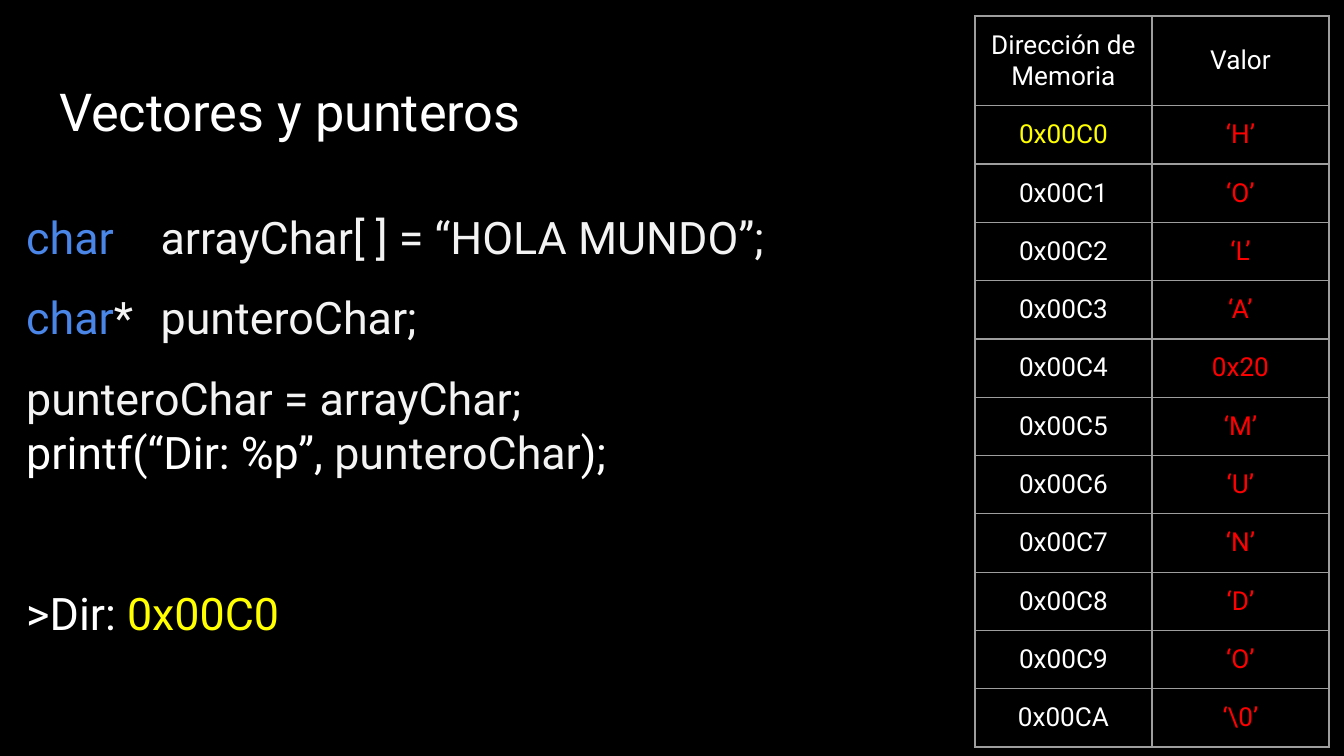
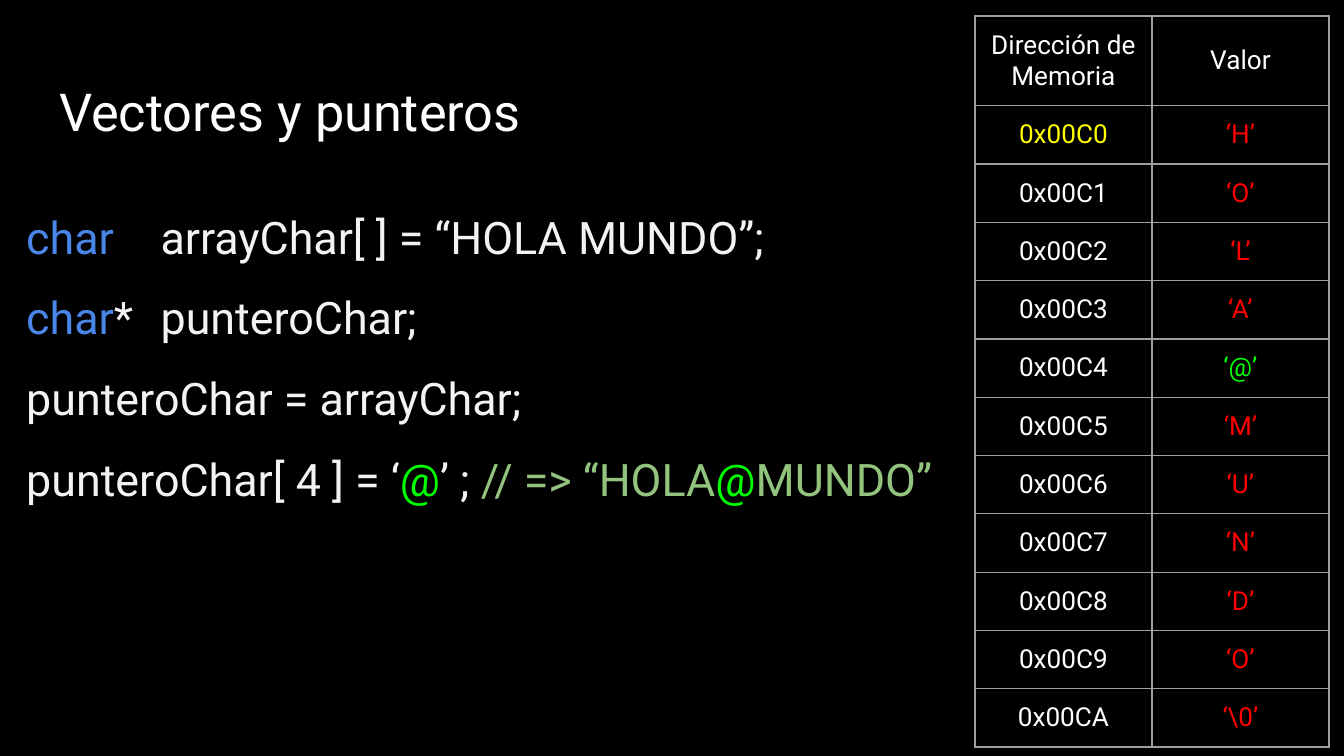
from lxml.etree import SubElement
from pptx import Presentation
from pptx.dml.color import RGBColor
from pptx.enum.text import MSO_ANCHOR, PP_ALIGN
from pptx.oxml.ns import qn
from pptx.util import Emu, Inches, Pt

BLACK = RGBColor(0x00, 0x00, 0x00)
WHITE = RGBColor(0xFF, 0xFF, 0xFF)
SOFT_WHITE = RGBColor(0xF3, 0xF3, 0xF3)
BLUE = RGBColor(0x4A, 0x86, 0xE8)
YELLOW = RGBColor(0xFF, 0xFF, 0x00)
RED = RGBColor(0xFF, 0x00, 0x00)
GREEN = RGBColor(0x00, 0xFF, 0x00)
COMMENT_GREEN = RGBColor(0x93, 0xC4, 0x7D)
BORDER_GRAY = RGBColor(0x9E, 0x9E, 0x9E)

FONT = "Roboto"
INSET = Inches(0.1)
BLANK_LAYOUT = 6
FIRST_ADDRESS = 0xC0
CHANGED_INDEX = 4


def px(length):
    """Turn pixels (134.4 to the inch) into EMU."""
    return Emu(round(length * 914400 / 134.4))


def set_insets(target):
    target.margin_left = target.margin_right = INSET
    target.margin_top = target.margin_bottom = INSET


class Deck:
    def __init__(self):
        self.deck = Presentation()
        self.deck.slide_width = px(1344)
        self.deck.slide_height = px(756)
        self.page = None

    def add_page(self):
        self.page = self.deck.slides.add_slide(self.deck.slide_layouts[BLANK_LAYOUT])
        fill = self.page.background.fill
        fill.solid()
        fill.fore_color.rgb = BLACK

    def add_spans(self, para, spans, size):
        for text, color in spans:
            span = para.add_run()
            span.text = text
            span.font.name = FONT
            span.font.size = Pt(size)
            span.font.color.rgb = color

    def add_text(self, left, top, width, height, lines, size):
        """Each line is (spans, line spacing, points of space before)."""
        box = self.page.shapes.add_textbox(px(left), px(top), px(width), px(height))
        frame = box.text_frame
        frame.word_wrap = True
        set_insets(frame)
        for index, (spans, spacing, before) in enumerate(lines):
            para = frame.add_paragraph() if index else frame.paragraphs[0]
            para.line_spacing = spacing
            para.space_before = Pt(before)
            self.add_spans(para, spans, size)

    def add_title(self, text):
        self.add_text(46, 66, 1252, 85, [([(text, WHITE)], 1.0, 0)], 28)

    def add_code(self, lines):
        self.add_text(13, 169, 1285, 540, lines, 24)

    def add_borders(self, cell):
        properties = cell._tc.get_or_add_tcPr()
        for index, side in enumerate(("lnL", "lnR", "lnT", "lnB")):
            line = properties.makeelement(qn(f"a:{side}"), {"w": str(Pt(0.75))})
            fill = SubElement(line, qn("a:solidFill"))
            SubElement(fill, qn("a:srgbClr"), val=str(BORDER_GRAY))
            properties.insert(index, line)

    def add_table(self, left, top, column_width, row_height, rows):
        """Each cell in rows is one (text, color) span."""
        columns = len(rows[0])
        table = self.page.shapes.add_table(
            len(rows), columns, px(left), px(top),
            px(column_width * columns), px(row_height * len(rows))).table
        table.first_row = table.horz_banding = False
        for row_index, row in enumerate(rows):
            for column_index, span in enumerate(row):
                cell = table.cell(row_index, column_index)
                cell.fill.background()
                cell.vertical_anchor = MSO_ANCHOR.MIDDLE
                set_insets(cell)
                para = cell.text_frame.paragraphs[0]
                para.alignment = PP_ALIGN.CENTER
                self.add_spans(para, [span], 14)
                self.add_borders(cell)


def memory_rows(changed_value):
    rows = [[("Dirección de Memoria", WHITE), ("Valor", WHITE)]]
    values = [(f"‘{letter}’", RED) for letter in "HOLA MUNDO"] + [("‘\\0’", RED)]
    values[CHANGED_INDEX] = changed_value
    for index, value in enumerate(values):
        address = f"0x{FIRST_ADDRESS + index:04X}"
        rows.append([(address, WHITE if index else YELLOW), value])
    return rows


def add_memory_page(deck, code, changed_value):
    declarations = [
        ([("char", BLUE), (" \tarrayChar[ ] = “HOLA MUNDO”;", SOFT_WHITE)], 1.5, 0),
        ([("char", BLUE), ("* \tpunteroChar;", SOFT_WHITE)], 1.5, 0),
        ([("punteroChar = arrayChar;", SOFT_WHITE)], 1.5, 0),
    ]
    deck.add_page()
    deck.add_title("Vectores y punteros")
    deck.add_code(declarations + code)
    deck.add_table(975, 16, 177, 57, memory_rows(changed_value))


def main():
    deck = Deck()
    print_address = [
        ([("printf(“Dir: %p”, ", WHITE), ("punteroChar", SOFT_WHITE), (");", WHITE)], 1.0, 0),
        ([(">Dir: ", WHITE), ("0x00C0", YELLOW)], 1.0, 57.5),
    ]
    change_letter = [
        ([("punteroChar[ 4 ] = ‘", SOFT_WHITE), ("@", GREEN), ("’ ; ", SOFT_WHITE),
          ("// => “HOLA", COMMENT_GREEN), ("@", GREEN), ("MUNDO”", COMMENT_GREEN)], 1.5, 0),
    ]
    add_memory_page(deck, print_address, ("0x20", RED))
    add_memory_page(deck, change_letter, ("‘@’", GREEN))
    deck.deck.save("out.pptx")


if __name__ == "__main__":
    main()
